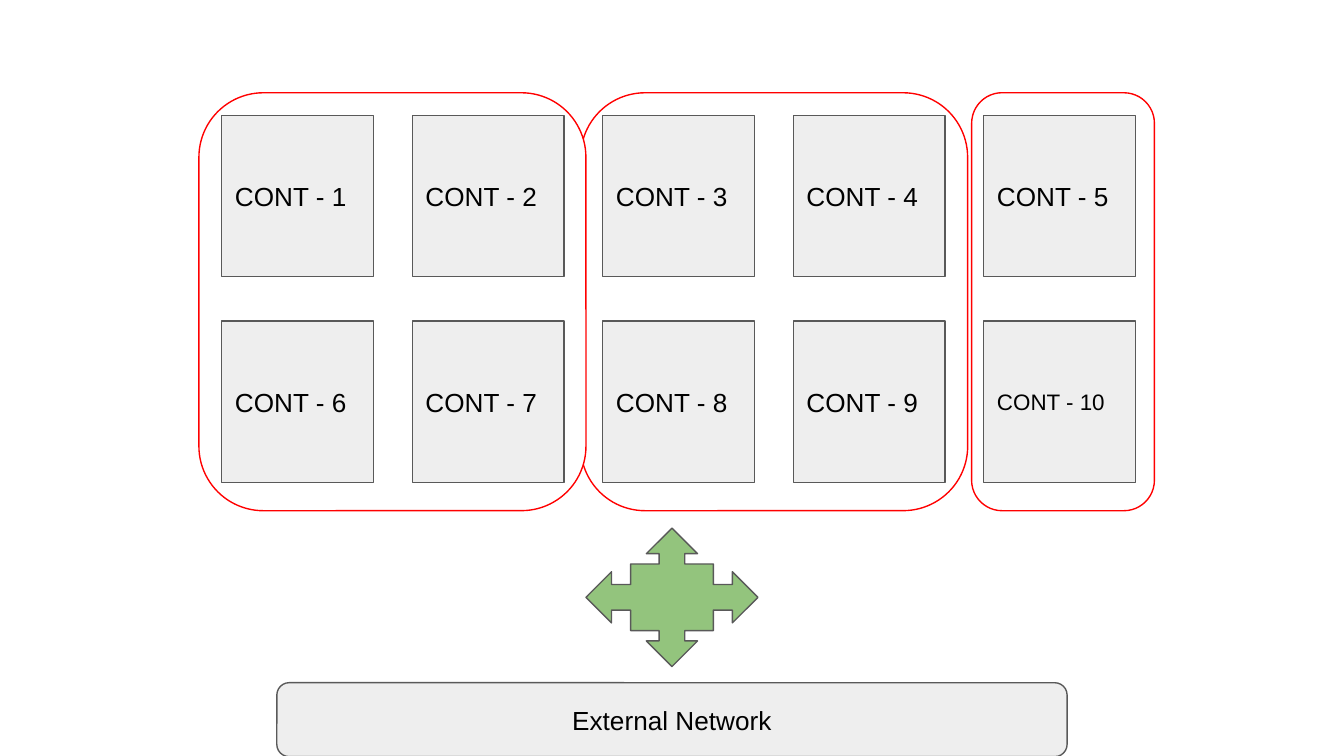
import pptx
import pptx.dml.color
import pptx.enum.shapes
import pptx.enum.text
import pptx.util
from pptx.util import Inches

SHAPES = pptx.enum.shapes.MSO_SHAPE
ALIGN = pptx.enum.text.PP_ALIGN


def color(value):
    return pptx.dml.color.RGBColor.from_string(value)


def add_box(page, kind, left, top, width, height, fill, line,
            label="", size=14, align=ALIGN.LEFT):
    box = page.shapes.add_shape(
        kind, Inches(left), Inches(top), Inches(width), Inches(height))
    box.shadow.inherit = False
    box.fill.solid()
    box.fill.fore_color.rgb = color(fill)
    box.line.color.rgb = color(line)
    box.line.width = pptx.util.Pt(0.75)
    if label:
        frame = box.text_frame
        frame.word_wrap = True
        frame.vertical_anchor = pptx.enum.text.MSO_ANCHOR.MIDDLE
        frame.margin_left = frame.margin_right = Inches(0.1)
        frame.margin_top = frame.margin_bottom = Inches(0.1)
        para = frame.paragraphs[0]
        para.alignment = align
        span = para.add_run()
        span.text = label
        span.font.size = pptx.util.Pt(size)
        span.font.name = "Arial"
        span.font.color.rgb = color("000000")
    return box


# Widescreen 16:9 page
deck = pptx.Presentation()
deck.slide_width = Inches(10)
deck.slide_height = Inches(10 * 9 / 16)
page = deck.slides.add_slide(deck.slide_layouts[6])

# Red group frames, right to left so the left one overlaps its neighbour
for left, width in [(7.23, 1.36), (4.32, 2.88), (1.48, 2.88)]:
    add_box(page, SHAPES.ROUNDED_RECTANGLE, left, 0.69, width, 3.11,
            "FFFFFF", "FF0000")

# Two rows of five containers, evenly spaced
first_left, last_left = 1.65, 7.32
column_step = (last_left - first_left) / 4
for index in range(10):
    row, column = divmod(index, 5)
    number = index + 1
    add_box(page, SHAPES.RECTANGLE, first_left + column_step * column,
            0.86 + 1.53 * row, 1.13, 1.2, "EEEEEE", "595959",
            f"CONT - {number}", 12 if number == 10 else 14)

# Four-way arrow between the containers and the network
arrow = add_box(page, SHAPES.QUAD_ARROW_CALLOUT, 4.36, 3.93, 1.28, 1.03,
                "93C47D", "595959")
for position, value in enumerate([0.185, 0.185, 0.185, 0.481]):
    arrow.adjustments[position] = value

# External network bar
add_box(page, SHAPES.ROUNDED_RECTANGLE, 2.06, 5.08, 5.88, 0.55,
        "EEEEEE", "595959", "External Network", align=ALIGN.CENTER)

deck.save("out.pptx")
